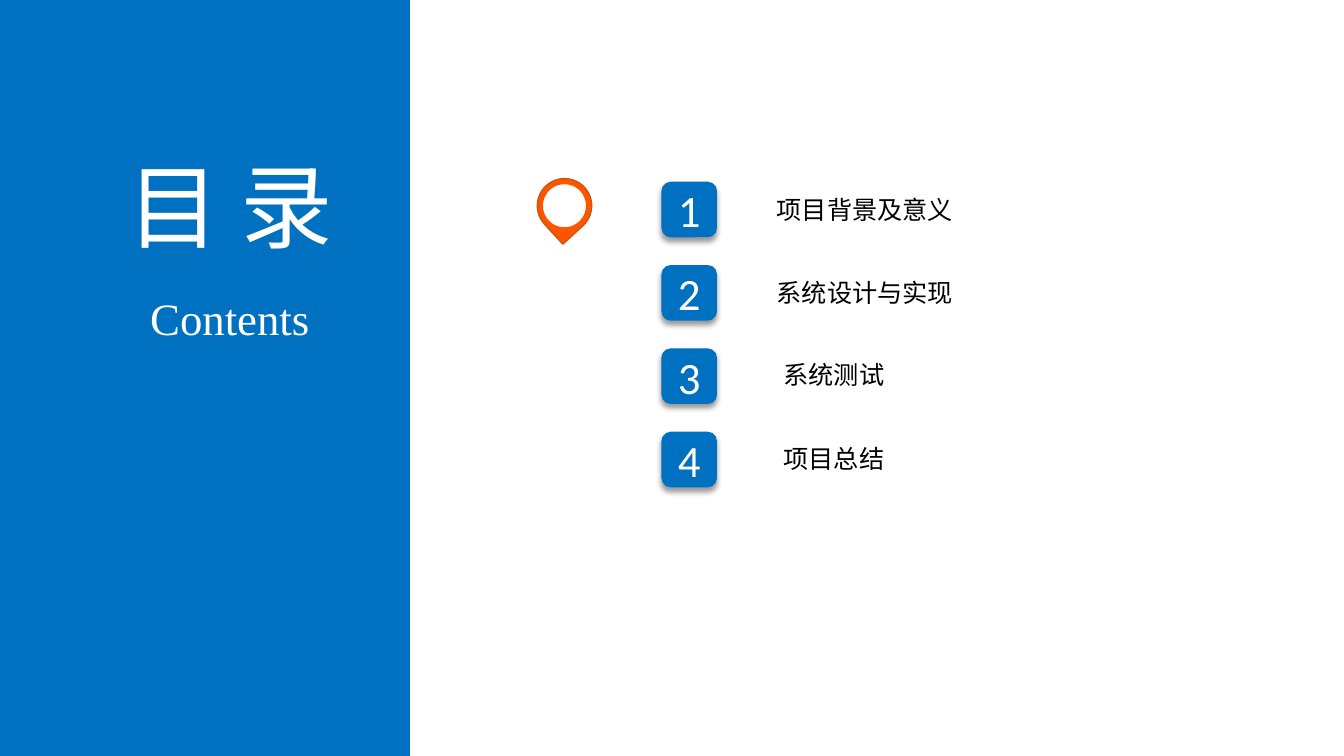
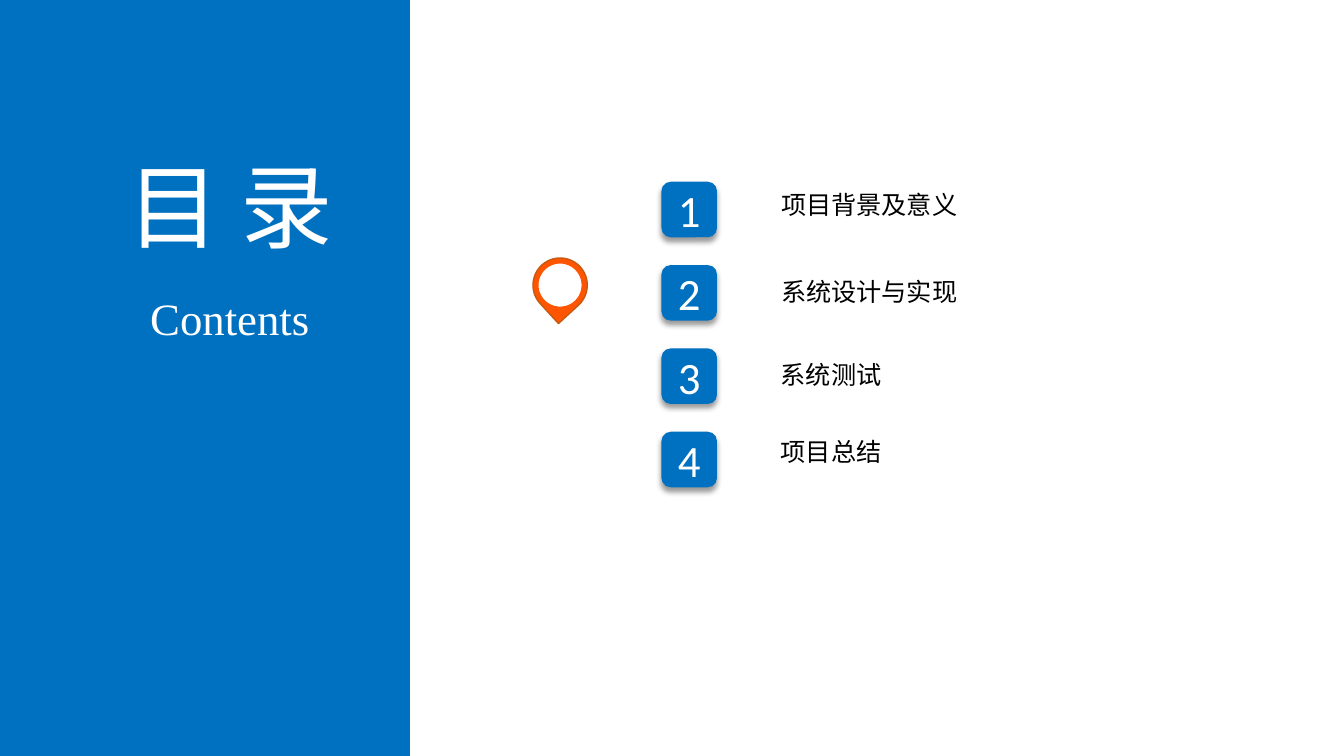
import dataclasses

import lxml.etree
import pptx
import pptx.dml.color
import pptx.enum.shapes
import pptx.enum.text
import pptx.oxml.ns
import pptx.util

Cm = pptx.util.Cm
Shapes = pptx.enum.shapes.MSO_SHAPE
Anchor = pptx.enum.text.MSO_ANCHOR

BLUE, ORANGE, BROWN = "0070C0", "FF5400", "C55A11"
WHITE, BLACK = "FFFFFF", "000000"
CHINESE_FONT = "Noto Sans CJK SC"

TITLE_STYLE = {"size": pptx.util.Pt(66), "name": CHINESE_FONT}
SUBTITLE_STYLE = {"size": pptx.util.Pt(32), "name": "Times New Roman"}
NUMBER_STYLE = {"size": pptx.util.Pt(32), "name": "Calibri"}
ENTRY_STYLE = {"size": pptx.util.Pt(18), "name": CHINESE_FONT}

SLIDE_WIDTH, SLIDE_HEIGHT, BAND_WIDTH = 33.87, 19.05, 10.33
BADGE_LEFT, BADGE_TOP, BADGE_SIZE, BADGE_PITCH = 16.67, 4.58, 1.4, 2.1
CHARACTER_WIDTH, ENTRY_PADDING, ENTRY_HEIGHT = 0.64, 0.51, 1.02
PIN_SIZE, HOLE_SIZE = 1.37, 1.12


@dataclasses.dataclass(frozen=True)
class Box:
    left: float
    top: float
    width: float
    height: float

    def lengths(self) -> list:
        return [Cm(value) for value in dataclasses.astuple(self)]


@dataclasses.dataclass(frozen=True)
class Entry:
    text: str
    left: float
    top: float


@dataclasses.dataclass(frozen=True)
class Contents:
    entries: tuple
    pin_left: float
    pin_top: float


PAGES = (
    Contents(
        (
            Entry("项目背景及意义", 19.3, 4.78),
            Entry("系统设计与实现", 19.3, 6.86),
            Entry("系统测试", 19.48, 8.94),
            Entry("项目总结", 19.48, 11.05),
        ),
        13.54, 4.5,
    ),
    Contents(
        (
            Entry("项目背景及意义", 19.41, 4.65),
            Entry("系统设计与实现", 19.41, 6.83),
            Entry("系统测试", 19.41, 8.94),
            Entry("项目总结", 19.41, 10.87),
        ),
        13.43, 6.5,
    ),
)


def rgb(color: str) -> pptx.dml.color.RGBColor:
    return pptx.dml.color.RGBColor.from_string(color)


def add_child(parent, tag: str, **attributes):
    return lxml.etree.SubElement(parent, pptx.oxml.ns.qn(tag), **attributes)


def write_text(shape, text: str, style: dict, color: str, anchor=Anchor.TOP, wrap: bool = False) -> None:
    frame = shape.text_frame
    frame.word_wrap = wrap
    frame.vertical_anchor = anchor
    frame.auto_size = pptx.enum.text.MSO_AUTO_SIZE.NONE
    paragraph = frame.paragraphs[0]
    paragraph.alignment = pptx.enum.text.PP_ALIGN.CENTER
    run = paragraph.add_run()
    run.text = text
    for attribute, value in style.items():
        setattr(run.font, attribute, value)
    run.font.color.rgb = rgb(color)
    add_child(run._r.get_or_add_rPr(), "a:ea", typeface=style["name"])


def add_filled(shapes, kind, box: Box, fill: str, line: str = ""):
    shape = shapes.add_shape(kind, *box.lengths())
    shape.shadow.inherit = False
    shape.fill.solid()
    shape.fill.fore_color.rgb = rgb(fill)
    if line:
        shape.line.color.rgb = rgb(line)
        shape.line.width = pptx.util.Pt(1)
    else:
        shape.line.fill.background()
    return shape


def add_label(slide, box: Box, text: str, style: dict, color: str) -> None:
    write_text(slide.shapes.add_textbox(*box.lengths()), text, style, color)


def add_drop_shadow(shape) -> None:
    effects = shape._element.spPr.find(pptx.oxml.ns.qn("a:effectLst"))
    shadow = add_child(
        effects, "a:outerShdw", blurRad=str(pptx.util.Pt(4)), dist=str(pptx.util.Pt(3)),
        dir="5400000", algn="t", rotWithShape="0",
    )
    color = add_child(shadow, "a:srgbClr", val=BLACK)
    add_child(color, "a:alpha", val="40000")


def add_side_band(slide) -> None:
    add_filled(slide.shapes, Shapes.RECTANGLE, Box(0, 0, BAND_WIDTH, SLIDE_HEIGHT), BLUE)
    title = slide.shapes.title
    title.left, title.top, title.width, title.height = Box(2.59, 3.63, 6.4, 3.07).lengths()
    write_text(title, "目 录", TITLE_STYLE, WHITE)
    slide.shapes._spTree.append(title._element)  # bring the title in front of the band
    add_label(slide, Box(3.51, 7.21, 4.57, 1.63), "Contents", SUBTITLE_STYLE, WHITE)


def add_entry(slide, number: int, entry: Entry) -> None:
    badge_top = BADGE_TOP + (number - 1) * BADGE_PITCH
    badge_box = Box(BADGE_LEFT, badge_top, BADGE_SIZE, BADGE_SIZE)
    badge = add_filled(slide.shapes, Shapes.ROUNDED_RECTANGLE, badge_box, BLUE)
    add_drop_shadow(badge)
    write_text(badge, str(number), NUMBER_STYLE, WHITE, Anchor.MIDDLE, True)
    width = len(entry.text) * CHARACTER_WIDTH + ENTRY_PADDING
    add_label(slide, Box(entry.left, entry.top, width, ENTRY_HEIGHT), entry.text, ENTRY_STYLE, BLACK)


def add_pin(slide, left: float, top: float) -> None:
    """Mark the current entry with a map pin."""
    shapes = slide.shapes.add_group_shape().shapes
    drop = add_filled(shapes, Shapes.TEAR, Box(left, top, PIN_SIZE, PIN_SIZE), ORANGE, BROWN)
    drop.rotation = 137.5
    inset = (PIN_SIZE - HOLE_SIZE) / 2
    add_filled(shapes, Shapes.OVAL, Box(left + inset, top + inset, HOLE_SIZE, HOLE_SIZE), WHITE, ORANGE)


def add_contents_slide(presentation, contents: Contents) -> None:
    slide = presentation.slides.add_slide(presentation.slide_layouts.get_by_name("Title Only"))
    add_side_band(slide)
    for number, entry in enumerate(contents.entries, start=1):
        add_entry(slide, number, entry)
    add_pin(slide, contents.pin_left, contents.pin_top)


def main() -> None:
    presentation = pptx.Presentation()
    presentation.slide_width = Cm(SLIDE_WIDTH)
    presentation.slide_height = Cm(SLIDE_HEIGHT)
    for contents in PAGES:
        add_contents_slide(presentation, contents)
    presentation.save("out.pptx")


if __name__ == "__main__":
    main()
